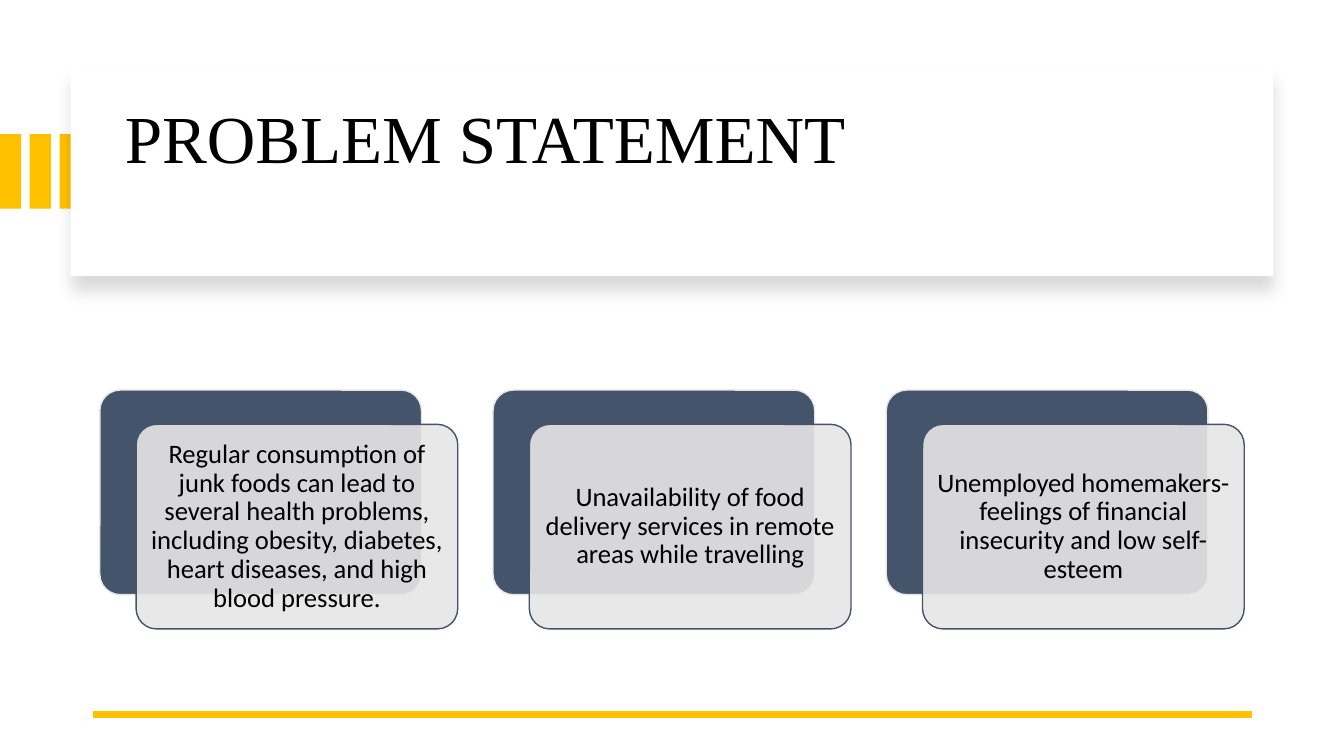
from lxml import etree
from pptx import Presentation
from pptx.dml.color import RGBColor
from pptx.enum.shapes import MSO_CONNECTOR, MSO_SHAPE
from pptx.enum.text import MSO_ANCHOR, PP_ALIGN
from pptx.oxml import parse_xml
from pptx.oxml.ns import qn
from pptx.util import Inches, Pt

GOLD = RGBColor(0xFF, 0xC0, 0x00)
NAVY = RGBColor(0x44, 0x54, 0x6A)
GRAY = RGBColor(0xE7, 0xE6, 0xE6)
WHITE = RGBColor(0xFF, 0xFF, 0xFF)
BLACK = RGBColor(0x00, 0x00, 0x00)

PROBLEMS = [
    "Regular consumption of junk foods can lead to several health problems, "
    "including obesity, diabetes, heart diseases, and high blood pressure.",
    "Unavailability of food delivery services in remote areas while travelling",
    "Unemployed homemakers- feelings of financial insecurity and low self-esteem",
]
TITLE_SHADOW = (
    '<a:effectLst xmlns:a="http://schemas.openxmlformats.org/drawingml/2006/main">'
    '<a:outerShdw blurRad="139700" dist="127000" dir="5400000" algn="t" rotWithShape="0">'
    '<a:srgbClr val="000000"><a:alpha val="15000"/></a:srgbClr>'
    '</a:outerShdw></a:effectLst>'
)

presentation = Presentation()
presentation.slide_width = Inches(13.33)
presentation.slide_height = Inches(7.5)
slide = presentation.slides.add_slide(presentation.slide_layouts[6])


def add_block(kind, left, top, width, height, fill, line=None):
    shape = slide.shapes.add_shape(
        kind, Inches(left), Inches(top), Inches(width), Inches(height))
    shape.shadow.inherit = False
    shape.fill.solid()
    shape.fill.fore_color.rgb = fill
    if line is None:
        shape.line.fill.background()
    else:
        shape.line.color.rgb = line
        shape.line.width = Pt(1)
        shape.adjustments[0] = 0.1
    return shape


def write_text(shape, text, font_name, size, align):
    paragraph = shape.text_frame.paragraphs[0]
    paragraph.text = text
    paragraph.alignment = align
    paragraph.line_spacing = 0.9
    paragraph.font.name = font_name
    paragraph.font.size = Pt(size)
    paragraph.font.color.rgb = BLACK


for index in range(3):
    add_block(MSO_SHAPE.RECTANGLE, index * 0.295, 1.33, 0.21, 0.74, GOLD)

title_panel = add_block(MSO_SHAPE.RECTANGLE, 0.7, 0.67, 11.93, 2.07, WHITE)
properties = title_panel._element.spPr
properties.replace(properties.find(qn("a:effectLst")), parse_xml(TITLE_SHADOW))

title = slide.shapes.add_textbox(Inches(1.14), Inches(1), Inches(11.13), Inches(0.8))
title.text_frame.word_wrap = True
write_text(title, "PROBLEM STATEMENT", "Times New Roman", 48, PP_ALIGN.LEFT)

footer_line = slide.shapes.add_connector(
    MSO_CONNECTOR.STRAIGHT, Inches(12.42), Inches(7.09), Inches(0.92), Inches(7.09))
footer_line.line.color.rgb = GOLD
footer_line.line.width = Pt(4.5)
etree.SubElement(footer_line._element.spPr, qn("a:effectLst"))

for index, problem in enumerate(PROBLEMS):
    left = 0.99 + index * 3.9
    add_block(MSO_SHAPE.ROUNDED_RECTANGLE, left, 3.87, 3.19, 2.03, NAVY, GRAY)
    card = add_block(
        MSO_SHAPE.ROUNDED_RECTANGLE, left + 0.36, 4.21, 3.19, 2.03, GRAY, NAVY)
    card_color = card._element.spPr.find(qn("a:solidFill"))[0]
    etree.SubElement(card_color, qn("a:alpha"), val="90000")
    frame = card.text_frame
    frame.word_wrap = True
    frame.vertical_anchor = MSO_ANCHOR.MIDDLE
    frame.margin_left = frame.margin_right = Inches(0.08)
    frame.margin_top = frame.margin_bottom = Inches(0.08)
    write_text(card, problem, "Calibri", 19, PP_ALIGN.CENTER)

presentation.save("out.pptx")
